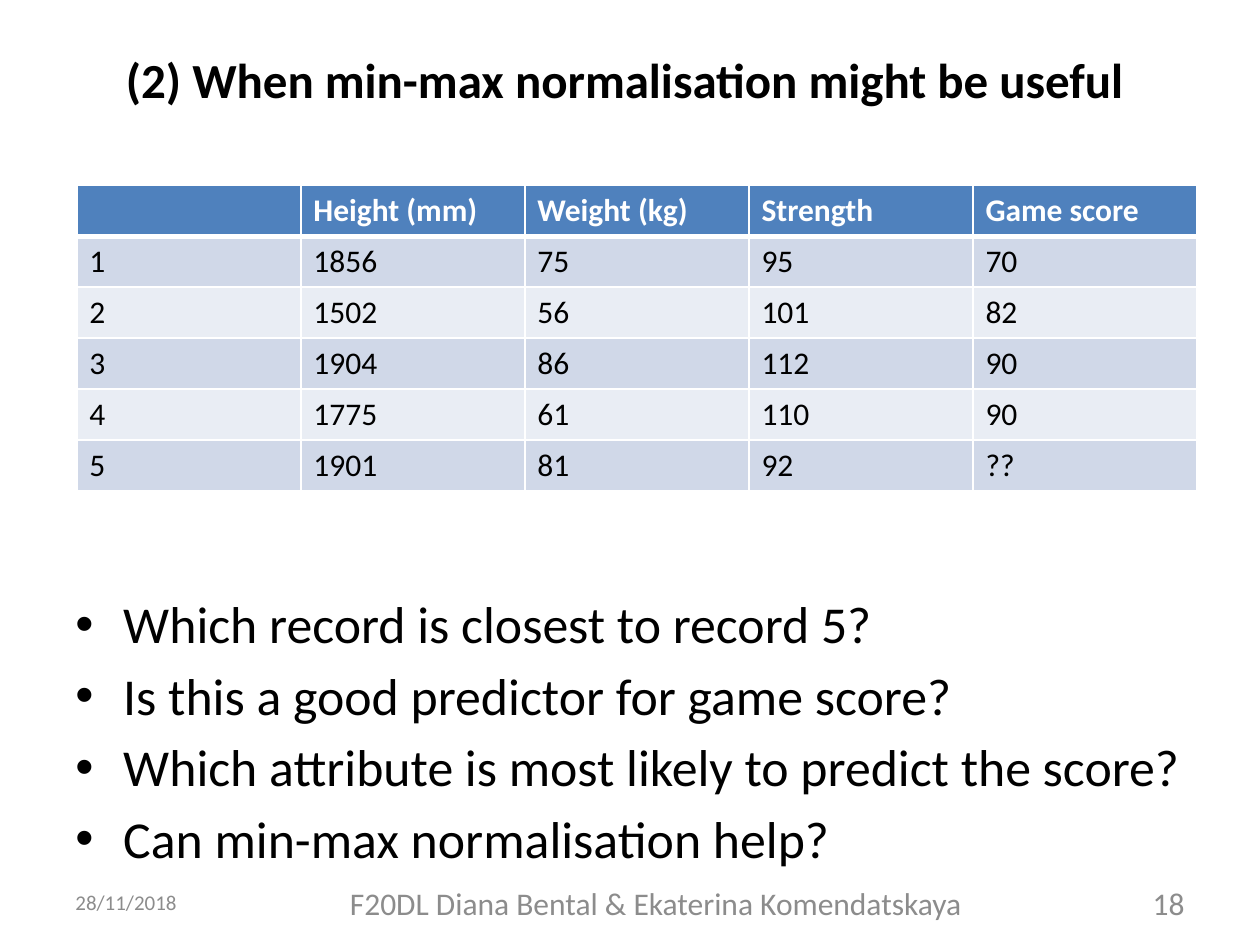
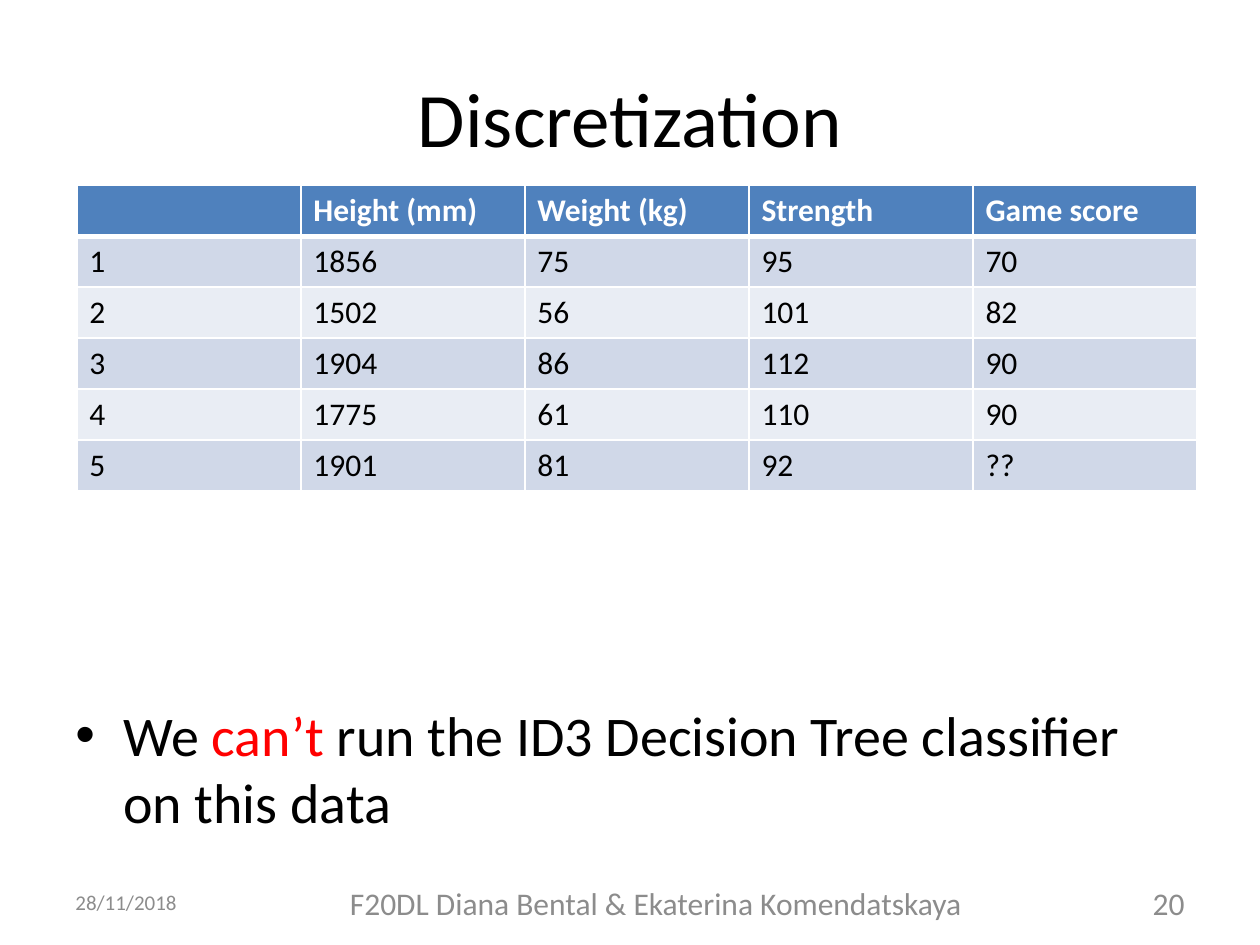
from dataclasses import dataclass

from lxml import etree
from pptx import Presentation
from pptx.dml.color import RGBColor
from pptx.enum.text import MSO_ANCHOR, PP_ALIGN
from pptx.oxml.ns import qn
from pptx.util import Inches, Pt

LEFT, CENTER, RIGHT = PP_ALIGN.LEFT, PP_ALIGN.CENTER, PP_ALIGN.RIGHT
TOP, MIDDLE = MSO_ANCHOR.TOP, MSO_ANCHOR.MIDDLE


@dataclass(frozen=True)
class Theme:
    font: str = "Calibri"
    text: str = "000000"
    white: str = "FFFFFF"
    muted: str = "8C8C8C"
    accent: str = "FF0000"
    header: str = "4F81BD"
    bands: tuple = ("D0D8E8", "E9EDF4")
    table_size: float = 18
    date_size: float = 12
    footer_size: float = 18


class Deck:
    def __init__(self, theme):
        self.theme = theme
        self.prs = Presentation()
        self.prs.slide_width, self.prs.slide_height = Inches(10), Inches(7.5)
        self.s = None

    def slide(self):
        self.s = self.prs.slides.add_slide(self.prs.slide_layouts[6])

    def style(self, font, size, color, bold=False):
        font.name = self.theme.font
        font.size = Pt(size)
        font.bold = bold
        font.color.rgb = RGBColor.from_string(color)

    def box(self, x, y, w, h, anchor):
        tb = self.s.shapes.add_textbox(Inches(x), Inches(y), Inches(w), Inches(h))
        tf = tb.text_frame
        tf.word_wrap = True
        tf.vertical_anchor = anchor
        return tf

    def line(self, text, at, size, color, align, bold=False):
        p = self.box(*at, MIDDLE).paragraphs[0]
        p.text = text
        p.alignment = align
        self.style(p.font, size, color, bold)

    def title(self, text, y, size, bold=False):
        self.line(text, (0.5, y, 9, 1.25), size, self.theme.text, CENTER, bold)

    def footer(self, number):
        t = self.theme
        self.line("28/11/2018", (0.5, 6.95, 1.19, 0.42), t.date_size, t.muted, LEFT)
        self.line("F20DL Diana Bental & Ekaterina Komendatskaya",
                  (1.86, 6.98, 6.69, 0.37), t.footer_size, t.muted, CENTER)
        self.line(str(number), (8.78, 6.98, 0.72, 0.37), t.footer_size, t.muted, RIGHT)

    def bullets(self, items, y, h, size):
        tf = self.box(0.5, y, 9, h, TOP)
        for i, runs in enumerate(items):
            p = tf.paragraphs[0] if i == 0 else tf.add_paragraph()
            p.space_before = Pt(0.18 * size if i else 0)
            self.style(p.font, size, self.theme.text)
            pPr = p._p.get_or_add_pPr()
            pPr.set("marL", str(Inches(0.38)))
            pPr.set("indent", str(-Inches(0.38)))
            bullet_font = etree.Element(qn("a:buFont"), typeface="Arial")
            bullet = etree.Element(qn("a:buChar"), char="•")
            pPr.find(qn("a:defRPr")).addprevious(bullet_font)
            bullet_font.addnext(bullet)
            for text, color in runs:
                r = p.add_run()
                r.text = text
                self.style(r.font, size, color)

    def borders(self, cell, top, bottom):
        tcPr = cell._tc.get_or_add_tcPr()
        for side, width in (("L", 1), ("R", 1), ("T", top), ("B", bottom)):
            ln = etree.SubElement(tcPr, qn(f"a:ln{side}"), w=str(Pt(width)))
            fill = etree.SubElement(ln, qn("a:solidFill"))
            etree.SubElement(fill, qn("a:srgbClr"), val=self.theme.white)

    def table(self, rows):
        t = self.theme
        table = self.s.shapes.add_table(len(rows), len(rows[0]), Inches(0.61), Inches(1.47),
                                        Inches(8.89), Inches(2.43)).table
        for i, row in enumerate(rows):
            is_header = i == 0
            for j, value in enumerate(row):
                cell = table.cell(i, j)
                self.borders(cell, 3 if i == 1 else 1, 3 if is_header else 1)
                cell.fill.solid()
                fill = t.header if is_header else t.bands[(i - 1) % 2]
                cell.fill.fore_color.rgb = RGBColor.from_string(fill)
                p = cell.text_frame.paragraphs[0]
                p.text = str(value)
                self.style(p.font, t.table_size, t.white if is_header else t.text, is_header)


PLAYERS = [
    ("", "Height (mm)", "Weight (kg)", "Strength", "Game score"),
    (1, 1856, 75, 95, 70),
    (2, 1502, 56, 101, 82),
    (3, 1904, 86, 112, 90),
    (4, 1775, 61, 110, 90),
    (5, 1901, 81, 92, "??"),
]
QUESTIONS = [
    "Which record is closest to record 5?",
    "Is this a good predictor for game score?",
    "Which attribute is most likely to predict the score?",
    "Can min-max normalisation help?",
]


def main():
    theme = Theme()
    deck = Deck(theme)

    deck.slide()
    deck.title("(2) When min-max normalisation might be useful ", 0, 28, bold=True)
    deck.bullets([[(question, theme.text)] for question in QUESTIONS], 4.65, 2.3, 29.6)
    deck.footer(18)
    deck.table(PLAYERS)

    deck.slide()
    deck.title("Discretization", 0.3, 44)
    deck.bullets([[("We ", theme.text), ("can’t", theme.accent),
                   (" run the ID3 Decision Tree classifier on this data", theme.text)]],
                 5.51, 1.19, 32)
    deck.footer(20)
    deck.table(PLAYERS)

    deck.prs.save("out.pptx")


if __name__ == "__main__":
    main()
